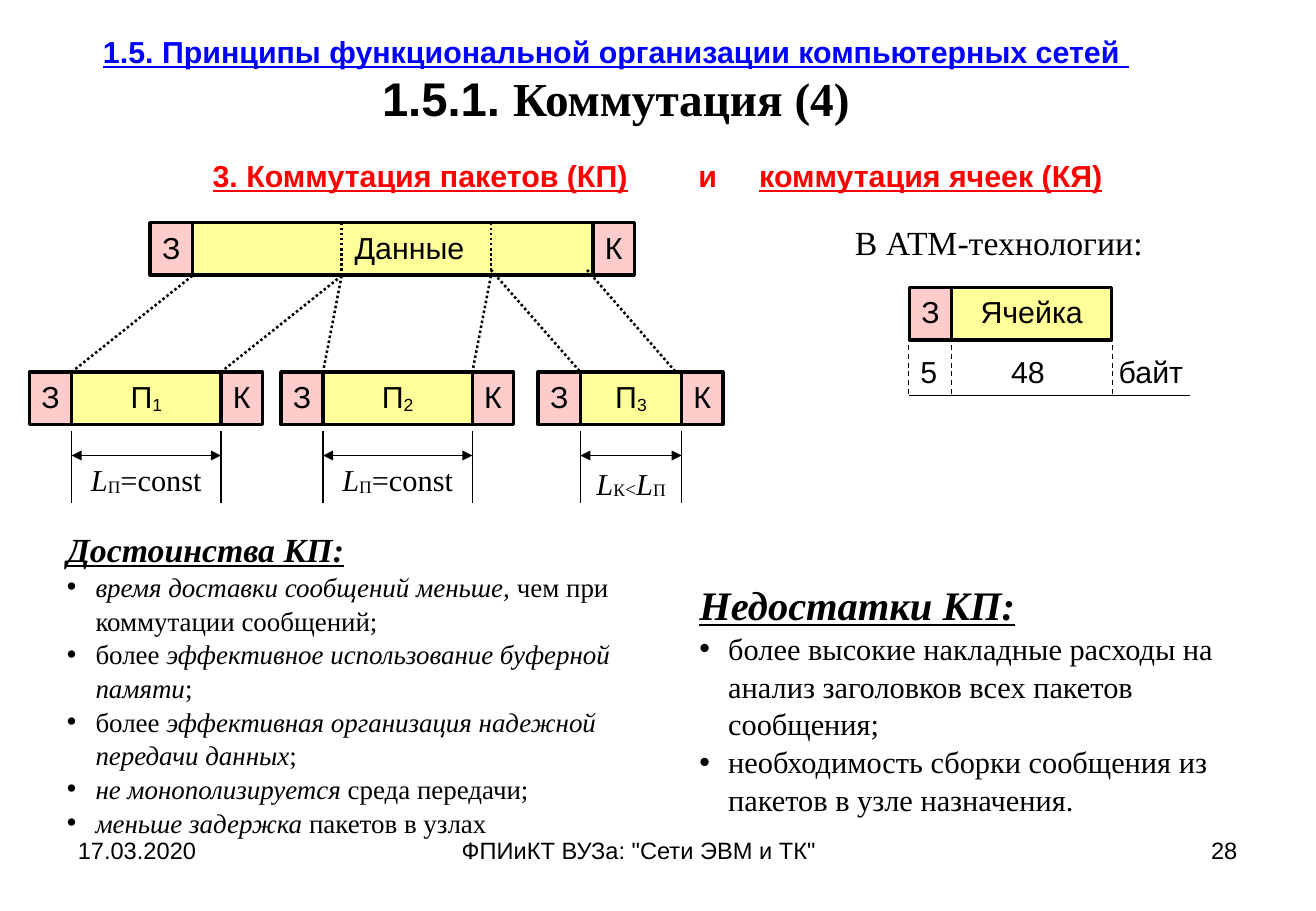
from lxml import etree
from pptx import Presentation
from pptx.dml.color import RGBColor
from pptx.enum.dml import MSO_LINE
from pptx.enum.shapes import MSO_CONNECTOR, MSO_SHAPE
from pptx.enum.text import MSO_ANCHOR, MSO_AUTO_SIZE, PP_ALIGN
from pptx.oxml.ns import qn
from pptx.util import Pt

LEFT, CENTER, RIGHT = PP_ALIGN.LEFT, PP_ALIGN.CENTER, PP_ALIGN.RIGHT
TOP, MIDDLE = MSO_ANCHOR.TOP, MSO_ANCHOR.MIDDLE
NO_FIT = MSO_AUTO_SIZE.NONE
RECT, STRAIGHT = MSO_SHAPE.RECTANGLE, MSO_CONNECTOR.STRAIGHT
DOTTED, DASHED = MSO_LINE.ROUND_DOT, MSO_LINE.DASH

COLORS = {"black": "000000", "blue": "0000FF", "red": "FF0000",
          "yellow": "FFFF99", "pink": "FFCCCC"}
SANS, SERIF = "Arial", "Times New Roman"
NARROW, WIDE = 1.5, 7.2
ITALIC = {"italic": True}
SUB = {"base": -4}


class Slide:
    def __init__(self, prs):
        self.s = prs.slides.add_slide(prs.slide_layouts[5])

    def color(self, name):
        return RGBColor.from_string(COLORS[name])

    def fill_text(self, sp, paragraphs, align=LEFT, anchor=TOP, inset=WIDE,
                  left=None, spacing=None, **style):
        tf = sp.text_frame
        frame = {"word_wrap": True, "auto_size": NO_FIT, "vertical_anchor": anchor,
                 "margin_left": Pt(inset if left is None else left),
                 "margin_right": Pt(inset), "margin_top": Pt(3.6), "margin_bottom": Pt(3.6)}
        for name, value in frame.items():
            setattr(tf, name, value)
        for i, runs in enumerate(paragraphs):
            p = tf.add_paragraph() if i else tf.paragraphs[0]
            p.alignment = align
            if spacing:
                p.line_spacing = spacing
            for text, changes in runs:
                self.add_text(p, text, {**style, **changes})
        return tf

    def add_text(self, p, text, style):
        r = p.add_run()
        r.text = text
        values = {"name": SANS, "size": 18, "color": "black", "base": 0, **style}
        base = values.pop("base")
        r.font.color.rgb = self.color(values.pop("color"))
        values["size"] = Pt(values["size"])
        for name, value in values.items():
            setattr(r.font, name, value)
        if base:
            r._r.get_or_add_rPr().set("baseline", str(base * 1000))

    def title(self, x, y, w, h, paragraphs, **style):
        sp = self.s.shapes.title
        for name, value in zip(("left", "top", "width", "height"), (x, y, w, h)):
            setattr(sp, name, Pt(value))
        self.fill_text(sp, paragraphs, CENTER, MIDDLE, **style)

    def text(self, x, y, w, h, paragraphs, **style):
        sp = self.s.shapes.add_textbox(Pt(x), Pt(y), Pt(w), Pt(h))
        return self.fill_text(sp, paragraphs, **style)

    def bullets(self, x, y, w, h, heading, size, items, item_size):
        head = [(heading, {"size": size, "bold": True, "italic": True, "underline": True})]
        tf = self.text(x, y, w, h, [head] + items, name=SERIF, size=item_size, spacing=1.04)
        for p in tf.paragraphs[1:]:
            pPr = p._p.get_or_add_pPr()
            pPr.set("marL", str(Pt(17)))
            pPr.set("indent", str(Pt(-17)))
            etree.SubElement(pPr, qn("a:buFont"), typeface=SANS)
            etree.SubElement(pPr, qn("a:buChar"), char="•")

    def box(self, x, y, w, fill, runs, **style):
        sp = self.s.shapes.add_shape(RECT, Pt(x), Pt(y), Pt(w), Pt(31))
        sp.shadow.inherit = False
        sp.fill.solid()
        sp.fill.fore_color.rgb = self.color(fill)
        sp.line.color.rgb = self.color("black")
        sp.line.width = Pt(2)
        self.fill_text(sp, [runs], CENTER, **style)

    def packet(self, x, y, w, runs, trailer=True, **style):
        self.box(x, y, w, "yellow", runs, **style)
        self.box(x - 25, y, 25, "pink", [("З", {})], inset=NARROW)
        if trailer:
            self.box(x + w, y, 24.5, "pink", [("К", {})], inset=NARROW)

    def line(self, x1, y1, x2, y2, width=0.75, dash=None, arrows=False):
        c = self.s.shapes.add_connector(STRAIGHT, Pt(x1), Pt(y1), Pt(x2), Pt(y2))
        c.line.color.rgb = self.color("black")
        c.line.width = Pt(width)
        if dash:
            c.line.dash_style = dash
        spPr = c._element.spPr
        if arrows:
            for end in ("a:headEnd", "a:tailEnd"):
                etree.SubElement(spPr.find(qn("a:ln")), qn(end), type="triangle")
        etree.SubElement(spPr, qn("a:effectLst"))


def main():
    prs = Presentation()
    prs.slide_width, prs.slide_height = Pt(780), Pt(540)
    s = Slide(prs)

    s.title(39, 6.5, 652, 81.5, [
        [("1.5. Принципы функциональной организации компьютерных сетей ",
          {"color": "blue", "underline": True})],
        [("1.5.1. ", {"size": 28}), ("Коммутация (4)", {"size": 28, "name": SERIF})],
    ], bold=True)
    s.text(46, 89.5, 687.5, 29, [[
        ("3. Коммутация пакетов (КП)", {"underline": True}),
        ("\t\tи\t", {}),
        ("коммутация ячеек (КЯ)", {"underline": True}),
    ]], align=CENTER, color="red", bold=True)

    message_y, packet_y = 132, 220.5
    s.packet(114, message_y, 237.5, [("Данные", {})], left=27)
    for x in (202.5, 291):
        s.line(x, message_y, x, 163.5, 1.5, DOTTED)
    for x1, y1, x2 in ((114, 163.5, 42.5), (202.5, 163.5, 131), (202.5, 163.5, 191.5),
                       (291, 163.5, 280), (291, 160, 344), (348, 160, 400.5)):
        s.line(x1, y1, x2, packet_y, 1.5, DOTTED)

    full_length = [("L", ITALIC), ("П", SUB), ("=const", {})]
    last_length = [("L", ITALIC), ("К", SUB), ("<", {"size": 20, **SUB}),
                   ("L", ITALIC), ("П", SUB)]
    packets = ((42.5, 88.5, full_length), (191.5, 88.5, full_length), (344, 60, last_length))
    for number, (x, w, length) in enumerate(packets, 1):
        s.packet(x, packet_y, w, [("П", {}), (str(number), {"base": -12})])
        for edge in (x, x + w):
            s.line(edge, 255.5, edge, 298)
        s.line(x, 270, x + w, 270, arrows=True)
        s.text(x, 270, w, 29, [length], align=CENTER, inset=NARROW, name=SERIF)

    s.text(461, 128, 262, 31, [[("В АТМ-технологии:", {})]],
           align=CENTER, name=SERIF, size=20)
    s.packet(564, 170.5, 95, [("Ячейка", {})], trailer=False)
    for x, w, label, align in ((538.5, 24.5, "5", LEFT), (588, 42.5, "48", CENTER),
                               (656, 60.5, "байт", LEFT)):
        s.text(x, 206, w, 29, [[(label, {})]], align=align)
    for x in (538.5, 564, 659.5):
        s.line(x, 199.5, x, 234.5, dash=DASHED)
    s.line(538.5, 234.5, 705.5, 234.5)

    s.bullets(32.5, 309, 372, 191.5, "Достоинства КП:", 20, [
        [("время доставки сообщений меньше,", ITALIC), (" чем при коммутации сообщений;", {})],
        [("более ", {}), ("эффективное использование буферной памяти", ITALIC), (";", {})],
        [("более ", {}), ("эффективная организация надежной передачи данных", ITALIC), (";", {})],
        [("не монополизируется ", ITALIC), ("среда передачи;", {})],
        [("меньше задержка ", ITALIC), ("пакетов в узлах", {})],
    ], 16)
    s.bullets(407.5, 339, 350.5, 122.5, "Недостатки КП:", 24, [
        [("более высокие накладные расходы на анализ заголовков всех пакетов сообщения;", {})],
        [("необходимость сборки сообщения из пакетов в узле назначения.", {})],
    ], 18)

    for x, w, label, align in ((39, 182, "17.03.2020", LEFT),
                               (266.5, 247, "ФПИиКТ ВУЗа: \"Сети ЭВМ и ТК\"", LEFT),
                               (558.5, 182, "28", RIGHT)):
        s.text(x, 492, w, 37.5, [[(label, {})]], align=align, size=14)

    prs.save("out.pptx")


if __name__ == "__main__":
    main()
